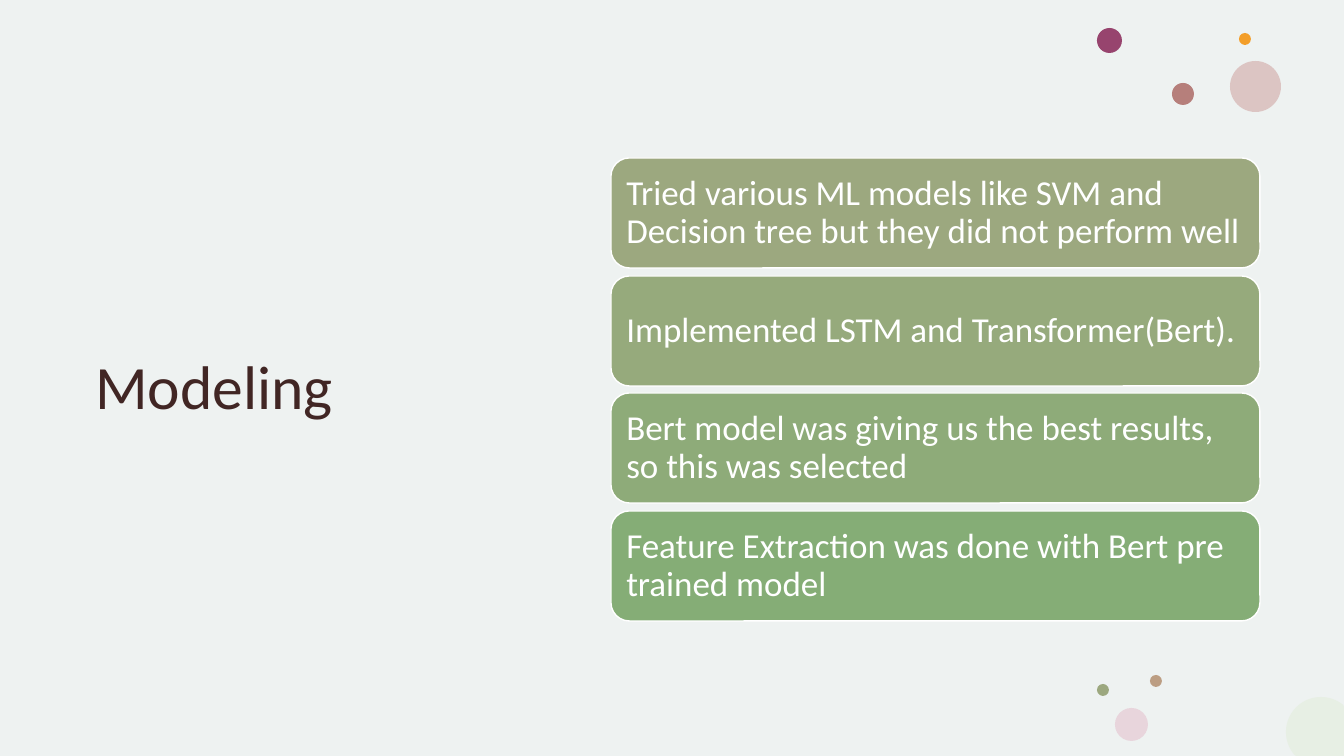
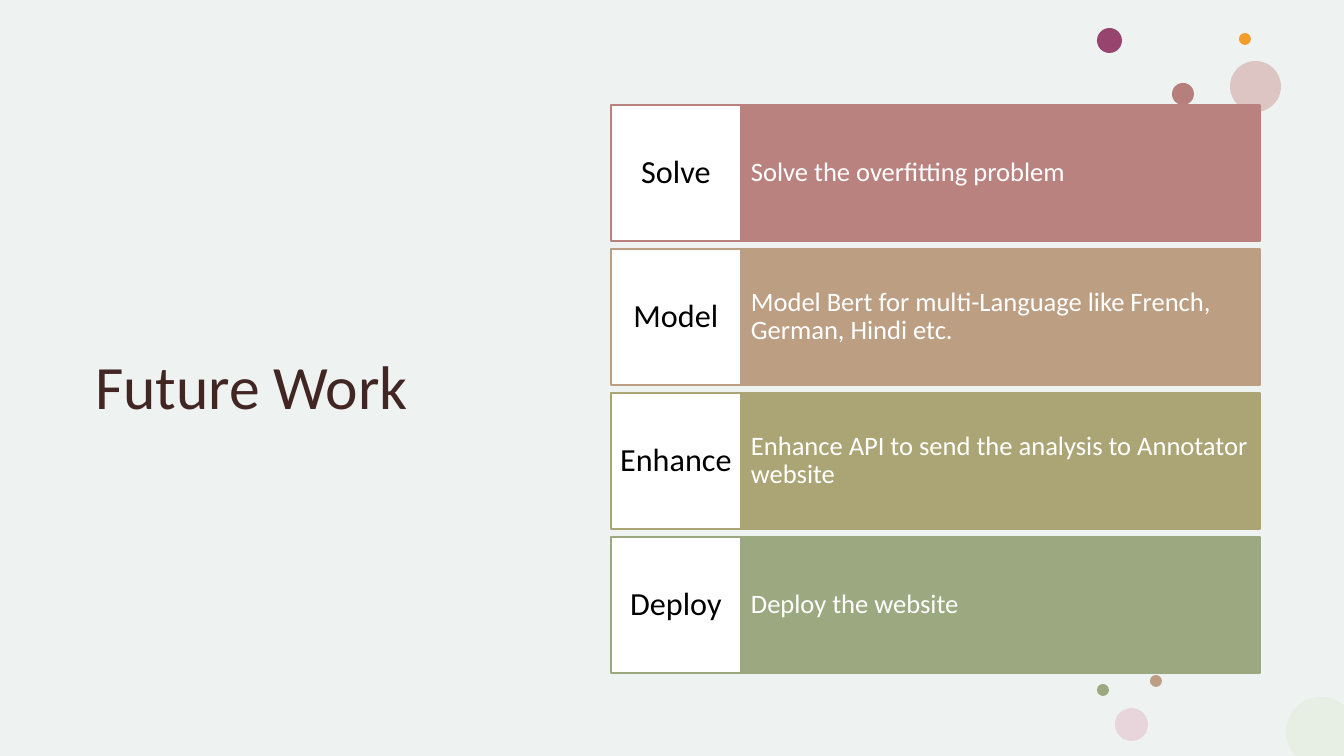
import math
from lxml import etree
from pptx import Presentation, util as u
from pptx.dml.color import RGBColor
from pptx.enum import shapes, text
from pptx.oxml.ns import qn

PX = 12192000 / 1344  # EMU in one px
W, H = 1344, 756
FONT = "Calibri"
COLORS = {
    "back": "EEF2F1", "title": "412624", "white": "FFFFFF", "black": "000000",
    "plum": "97446E", "blush": "D6B4B2", "orange": "F39E29", "rose": "B67F7B",
    "tan": "BC9E83", "pink": "E8D5DC", "sage": "9CA87F", "mint": "E7EFE4",
    "moss": "96AA7C", "fern": "8EAB79", "leaf": "85AD76",
    "brick": "BA827F", "olive": "ABA575",
}
OVAL = shapes.MSO_SHAPE.OVAL
RECT = shapes.MSO_SHAPE.RECTANGLE
ROUND = shapes.MSO_SHAPE.ROUNDED_RECTANGLE
CENTER = text.PP_ALIGN.CENTER


def add_shape(s, kind, box, fill, line=None):
    sp = s.shapes.add_shape(kind, *[u.Emu(round(v * PX)) for v in box])
    sp.shadow.inherit = False
    sp.fill.solid()
    sp.fill.fore_color.rgb = RGBColor.from_string(COLORS[fill])
    if line:
        sp.line.color.rgb = RGBColor.from_string(COLORS[line])
        sp.line.width = u.Pt(1)
    else:
        sp.line.fill.background()
    return sp


def write(sp, words, size, color="white", align=text.PP_ALIGN.LEFT, inset=10):
    tf = sp.text_frame
    tf.word_wrap = True
    tf.vertical_anchor = text.MSO_ANCHOR.MIDDLE
    tf.margin_left = tf.margin_right = u.Emu(round(inset * PX))
    p = tf.paragraphs[0]
    p.alignment = align
    p.line_spacing = 0.9
    r = p.add_run()
    r.text = words
    r.font.name = FONT
    r.font.size = u.Pt(size)
    r.font.color.rgb = RGBColor.from_string(COLORS[color])


prs = Presentation()
prs.slide_width, prs.slide_height = u.Emu(round(W * PX)), u.Emu(round(H * PX))

# Shared look: background, title and dots
DOTS = [  # left, top, diameter, colour
    (1097, 28, 25, "plum"), (1230, 61, 51, "blush"), (1239, 33, 12, "orange"),
    (1172, 83, 22, "rose"), (1150, 675, 12, "tan"), (1115, 708, 33, "pink"),
    (1097, 684, 12, "sage"),
]
# Corner disc, cut off at the slide edges
CX, CY, RADIUS = 1321, 732, 35
corner = [(min(CX + RADIUS * math.cos(math.radians(a)), W) * PX,
           min(CY + RADIUS * math.sin(math.radians(a)), H) * PX)
          for a in range(0, 360, 5)]

slides = []
for title in ("Modeling", "Future Work"):
    s = prs.slides.add_slide(prs.slide_layouts[6])
    s.background.fill.solid()
    s.background.fill.fore_color.rgb = RGBColor.from_string(COLORS["back"])
    sp = s.shapes.add_textbox(*[u.Emu(round(v * PX)) for v in (85, 105, 508, 569)])
    write(sp, title, 44, color="title")
    for left, top, size, color in DOTS:
        sp = add_shape(s, OVAL, (left, top, size, size), color)
        if color == "blush":
            rgb = sp.fill._xPr.find(".//" + qn("a:srgbClr"))
            etree.SubElement(rgb, qn("a:alpha")).set("val", "72000")
    builder = s.shapes.build_freeform(*corner[0], scale=1.0)
    builder.add_line_segments(corner[1:], close=True)
    sp = builder.convert_to_shape()
    sp.shadow.inherit = False
    sp.fill.solid()
    sp.fill.fore_color.rgb = RGBColor.from_string(COLORS["mint"])
    sp.line.fill.background()
    slides.append(s)

modeling, future = slides
LEFT, RIGHT = 611, 1260

# Modeling: four rounded cards, spread evenly
cards = [
    ("Tried various ML models like SVM and Decision tree but they did not perform well", "sage"),
    ("Implemented LSTM and Transformer(Bert).", "moss"),
    ("Bert model was giving us the best results, so this was selected", "fern"),
    ("Feature Extraction was done with Bert pre trained model", "leaf"),
]
first, last = 158, 511
for i, (words, color) in enumerate(cards):
    top = round(first + i * (last - first) / (len(cards) - 1))
    sp = add_shape(modeling, ROUND, (LEFT, top, RIGHT - LEFT, 110), color, line="white")
    write(sp, words, 25)

# Future Work: four rows of label and detail
rows = [
    ("Solve", "Solve the overfitting problem", "brick"),
    ("Model", "Model Bert for multi-Language like French, German, Hindi etc.", "tan"),
    ("Enhance", "Enhance API to send the analysis to Annotator website", "olive"),
    ("Deploy", "Deploy the website", "sage"),
]
split = 741
for i, (label, detail, color) in enumerate(rows):
    top = 105 + i * 144
    sp = add_shape(future, RECT, (split, top, RIGHT - split, 136), color, line=color)
    write(sp, detail, 19)
    sp = add_shape(future, RECT, (LEFT, top, split - LEFT, 136), "white", line=color)
    write(sp, label, 23, color="black", align=CENTER, inset=7)

prs.save("out.pptx")
